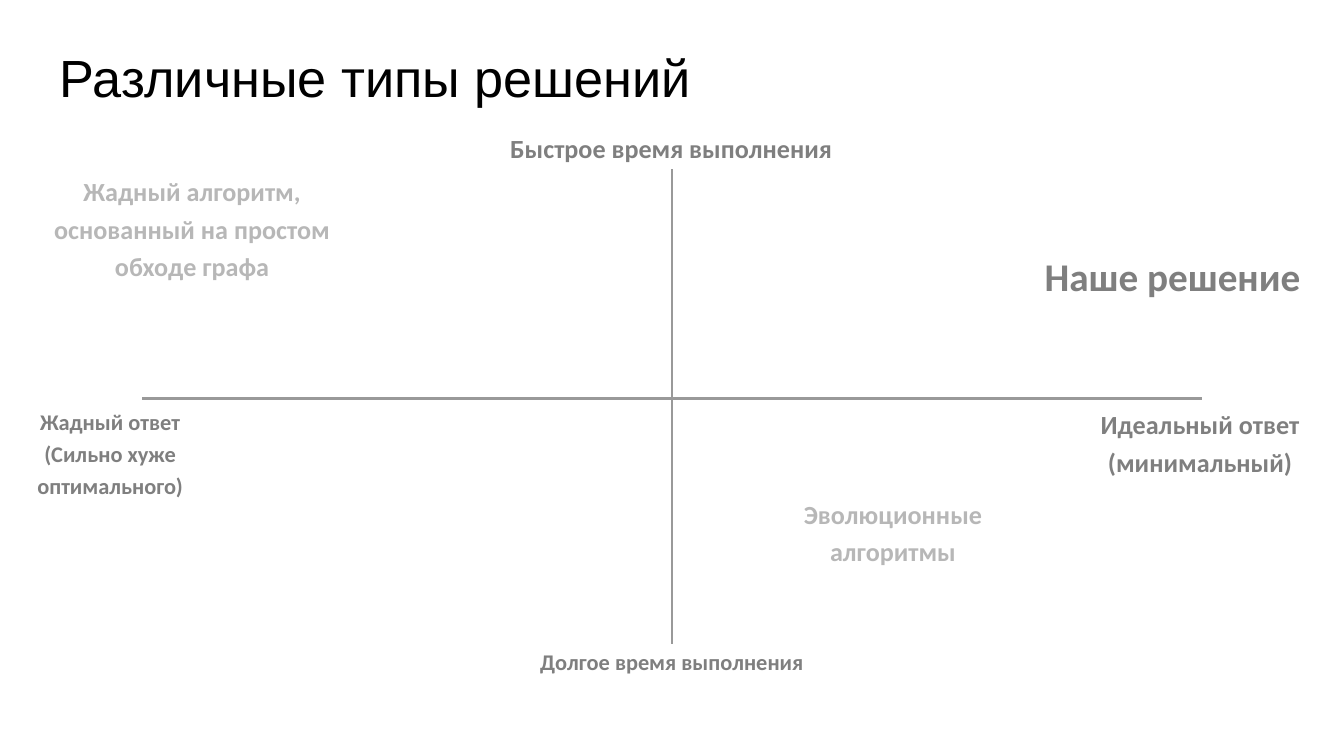
from dataclasses import dataclass
from lxml.etree import SubElement
from pptx import Presentation
from pptx.dml.color import RGBColor as RGB
from pptx.enum.shapes import MSO_CONNECTOR as Conn
from pptx.enum.text import MSO_ANCHOR as Anchor, PP_ALIGN as Align
from pptx.oxml.ns import qn
from pptx.util import Inches, Pt


@dataclass(frozen=True)
class Theme:
    ink: str = "000000"
    axis: str = "999999"
    label: str = "7F7F7F"
    faint: str = "B7B7B7"
    head: str = "Arial"
    body: str = "Calibri"
    title: int = 28
    focus: int = 21
    base: int = 14
    small: int = 12
    rule: float = 1.5


T = Theme()
WIDE = 10
HIGH = WIDE * 9 / 16
COLS = 100
CELL = WIDE / COLS


def grid(*cells):
    return [Inches(cell * CELL) for cell in cells]


def place(box, part):
    return box[0] + part[0], box[1] + part[1], part[2], part[3]


def write(slide, box, text, size=T.base, color=T.label, font=T.body,
          bold=True, align=Align.CENTER, space=1.2, pad=(0.07, 0.04)):
    frame = slide.shapes.add_textbox(*grid(*box)).text_frame
    frame.word_wrap = True
    frame.vertical_anchor = Anchor.TOP
    frame.margin_left = frame.margin_right = Inches(pad[0])
    frame.margin_top = frame.margin_bottom = Inches(pad[1])
    para = frame.paragraphs[0]
    para.alignment, para.line_spacing = align, space
    run = para.add_run()
    run.text = text
    run.font.name, run.font.size, run.font.bold = font, Pt(size), bold
    run.font.color.rgb = RGB.from_string(color)


def rule(slide, start, end):
    line = slide.shapes.add_connector(Conn.STRAIGHT, *grid(*start, *end))
    line.line.color.rgb = RGB.from_string(T.axis)
    line.line.width = Pt(T.rule)
    SubElement(line._element.spPr, qn("a:effectLst"))


def header(slide, box, text):
    write(slide, box, text, size=T.title, color=T.ink, font=T.head, bold=False,
          align=Align.LEFT, space=1, pad=(0.1, 0.1))


def axes(slide, box):
    x, y, w, h = box
    mid, row = x + w / 2, y + 17.05
    rule(slide, (mid, y), (mid, y + h))
    rule(slide, (x, row), (x + w, row))


def labels(slide, box, items):
    for text, part, style in items:
        write(slide, place(box, part), text, **style)


deck = Presentation()
deck.slide_width, deck.slide_height = Inches(WIDE), Inches(HIGH)
page = deck.slides.add_slide(deck.slide_layouts[6])
full = (0, 0, COLS, HIGH / CELL)
small, faint = {"size": T.small}, {"color": T.faint}

header(page, place(full, (3.45, 2.36, 93.2, 6.3)), "Различные типы решений")
axes(page, place(full, (10.6, 12.6, 78.8, 35.3)))
labels(page, full, [
    ("Идеальный ответ (минимальный)", (78.6, 29.55, 21.4, 3.8), {}),
    ("Быстрое время выполнения", (35.1, 8.95, 29.7, 3.2), {}),
    ("Жадный ответ (Сильно хуже оптимального)", (0, 29.55, 16.4, 3.8), small),
    ("Долгое время выполнения", (35.8, 47.45, 28.4, 3.8), small),
    ("Наше решение", (75.1, 17.7, 24.3, 4.7), {"size": T.focus}),
    ("Жадный алгоритм, основанный на простом обходе графа",
     (2.15, 12.2, 24.3, 4.7), faint),
    ("Эволюционные алгоритмы", (57.8, 36.2, 17.3, 4.7), faint),
])
deck.save("out.pptx")
